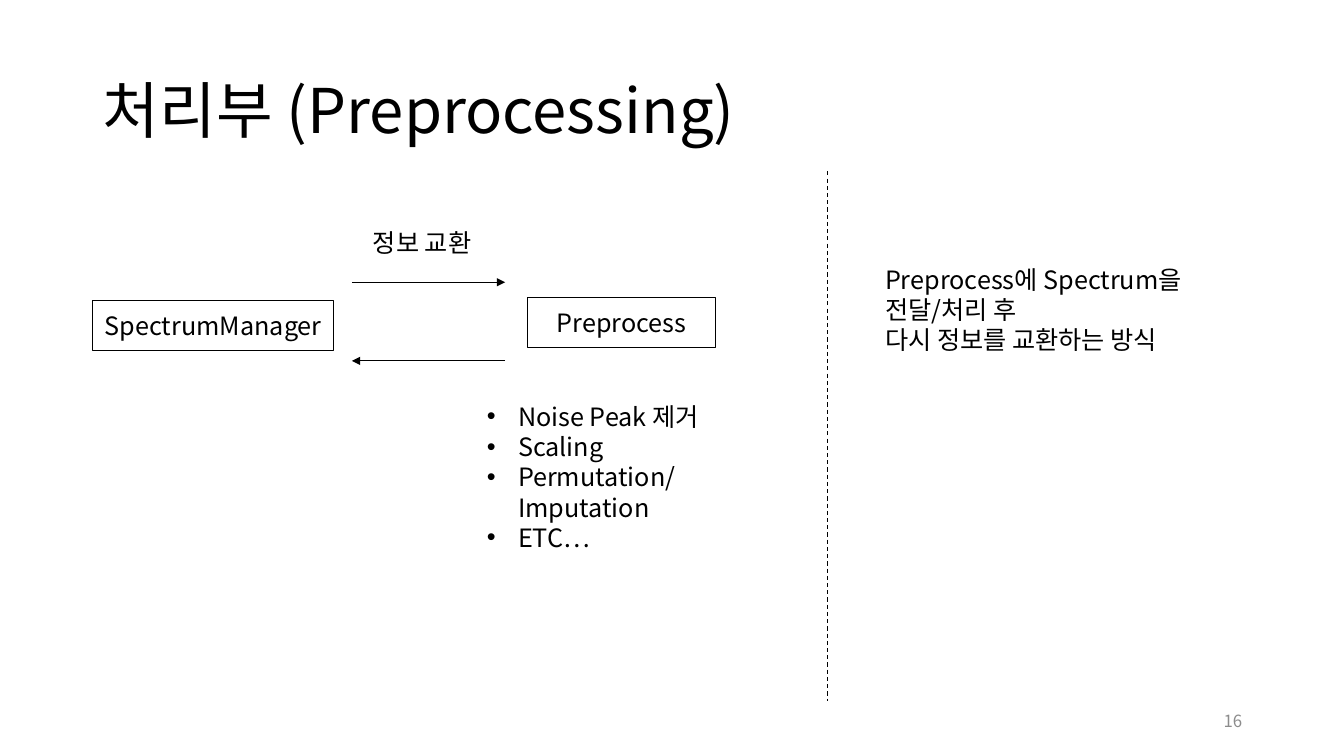
from lxml import etree
from pptx import Presentation
from pptx.dml.color import RGBColor
from pptx.enum.dml import MSO_LINE
from pptx.enum.shapes import MSO_CONNECTOR, MSO_SHAPE
from pptx.enum.text import MSO_ANCHOR, MSO_AUTO_SIZE, PP_ALIGN
from pptx.oxml.ns import qn
from pptx.util import Inches, Pt

BLACK = RGBColor(0x00, 0x00, 0x00)
GRAY = RGBColor(0x8C, 0x8C, 0x8C)
FONT = "Noto Sans CJK KR"
LEFT, CENTER, RIGHT = PP_ALIGN.LEFT, PP_ALIGN.CENTER, PP_ALIGN.RIGHT
TOP, MIDDLE = MSO_ANCHOR.TOP, MSO_ANCHOR.MIDDLE
GROW, FIXED = MSO_AUTO_SIZE.SHAPE_TO_FIT_TEXT, MSO_AUTO_SIZE.NONE
STRAIGHT = MSO_CONNECTOR.STRAIGHT
RECT = MSO_SHAPE.RECTANGLE
DASH = MSO_LINE.DASH

SLIDE_W, SLIDE_H = 13.33, 7.5
MARGIN = 0.92
DIVIDER_X = 8.21
BODY_TOP, BODY_BOTTOM = 1.7, 6.95
BULLET_INDENT = 0.31


def box(x, y, w, h):
    return [Inches(v) for v in (x, y, w, h)]


def write(tf, *lines, size=18, color=BLACK, align=LEFT, anchor=TOP,
          auto_size=FIXED, spacing=None, bullet=False):
    """Fill a text frame with one paragraph per line."""
    tf.word_wrap = True
    tf.auto_size = auto_size
    tf.vertical_anchor = anchor
    for i, line in enumerate(lines):
        p = tf.paragraphs[0] if i == 0 else tf.add_paragraph()
        p.text = line
        p.alignment = align
        if spacing:
            p.line_spacing = spacing
        for r in p.runs:
            r.font.size = Pt(size)
            r.font.name = FONT
            r.font.color.rgb = color
            etree.SubElement(r.font._element, qn("a:ea"), typeface=FONT)
        if bullet:
            pPr = p._p.get_or_add_pPr()
            pPr.set("marL", str(Inches(BULLET_INDENT)))
            pPr.set("indent", str(-Inches(BULLET_INDENT)))
            etree.SubElement(pPr, qn("a:buFont"), typeface="Arial")
            etree.SubElement(pPr, qn("a:buChar"), char="•")


def add_text(s, area, *lines, **style):
    write(s.shapes.add_textbox(*box(*area)).text_frame, *lines, **style)


def add_node(s, area, name):
    sp = s.shapes.add_shape(RECT, *box(*area))
    sp.shadow.inherit = False
    sp.fill.background()
    sp.line.color.rgb = BLACK
    sp.line.width = Pt(1)
    write(sp.text_frame, name, align=CENTER, anchor=MIDDLE)


def add_line(s, start, end, width, arrow=False, dash=None):
    line = s.shapes.add_connector(
        STRAIGHT, *[Inches(v) for v in (*start, *end)])
    line.line.color.rgb = BLACK
    line.line.width = Pt(width)
    if dash:
        line.line.dash_style = dash
    if arrow:
        etree.SubElement(line.line._get_or_add_ln(), qn("a:tailEnd"),
                         type="triangle")
    etree.SubElement(line._element.spPr, qn("a:effectLst"))


def add_title(s, area, text):
    title = s.shapes.title
    title.left, title.top, title.width, title.height = box(*area)
    write(title.text_frame, text, size=44, anchor=MIDDLE, spacing=0.9)


def add_exchange(s, x, y, w, h):
    """Two nodes, the arrows between them and the list of steps."""
    node_h = 0.5
    add_node(s, (x, y + 0.77, 2.39, node_h), "SpectrumManager")
    add_node(s, (x + w - 1.87, y + 0.74, 1.87, node_h), "Preprocess")

    # Steps below the Preprocess node
    add_text(s, (x + 3.81, y + 1.72, 3.26, h - 1.72), "Noise Peak 제거",
             "Scaling", "Permutation/Imputation", "ETC…",
             auto_size=GROW, bullet=True)

    # Arrows there and back
    near, far = x + 2.57, x + 4.09
    for start, end, dy in ((near, far, 0.59), (far, near, 1.37)):
        add_line(s, (start, y + dy), (end, y + dy), 0.5, arrow=True)
    add_text(s, (near + 0.11, y, 1.3, 0.4), "정보 교환", auto_size=GROW)


def add_explanation(s, x, y, w, h):
    add_text(s, (x, y, w, h), "Preprocess에 Spectrum을\v전달/처리 후",
             "다시 정보를 교환하는 방식", auto_size=GROW)


def main():
    prs = Presentation()
    prs.slide_width, prs.slide_height = Inches(SLIDE_W), Inches(SLIDE_H)
    s = prs.slides.add_slide(prs.slide_layouts[5])

    add_title(s, (MARGIN, 0.4, 11.5, 1.45), "처리부 (Preprocessing)")
    add_text(s, (9.42, BODY_BOTTOM, 3, 0.4), "16", size=12, color=GRAY,
             align=RIGHT, anchor=MIDDLE)
    add_exchange(s, MARGIN, 2.21, 6.18, 3.03)
    add_explanation(s, 8.68, 2.57, 3.25, 1.01)
    add_line(s, (DIVIDER_X, BODY_TOP), (DIVIDER_X, BODY_BOTTOM), 0.75,
             dash=DASH)
    prs.save("out.pptx")


if __name__ == "__main__":
    main()
